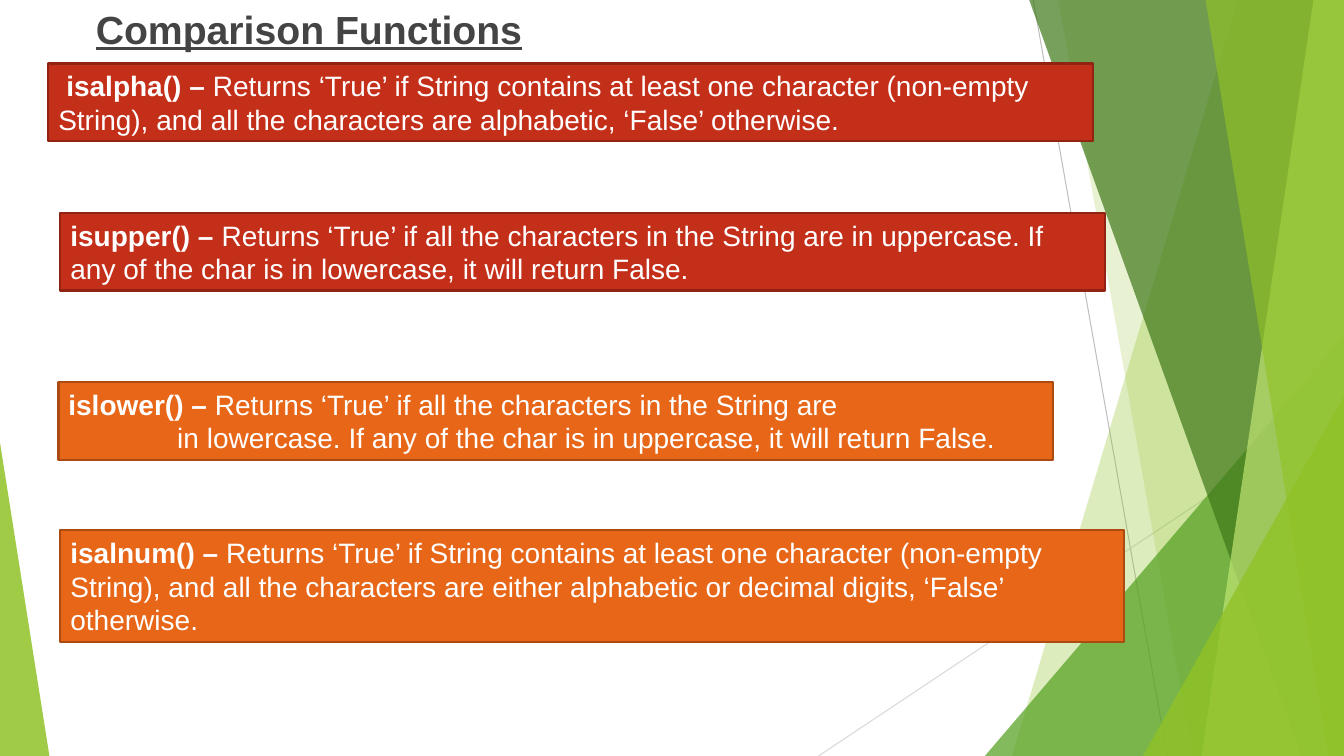
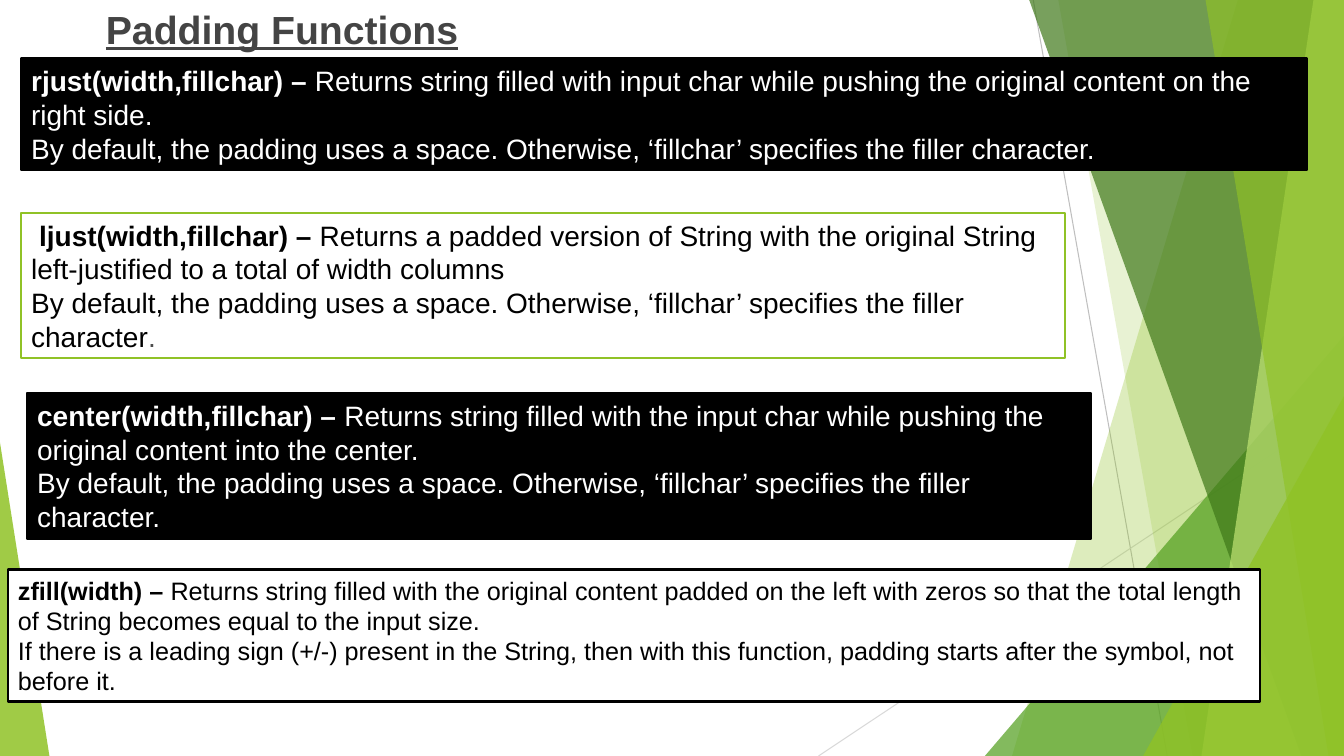
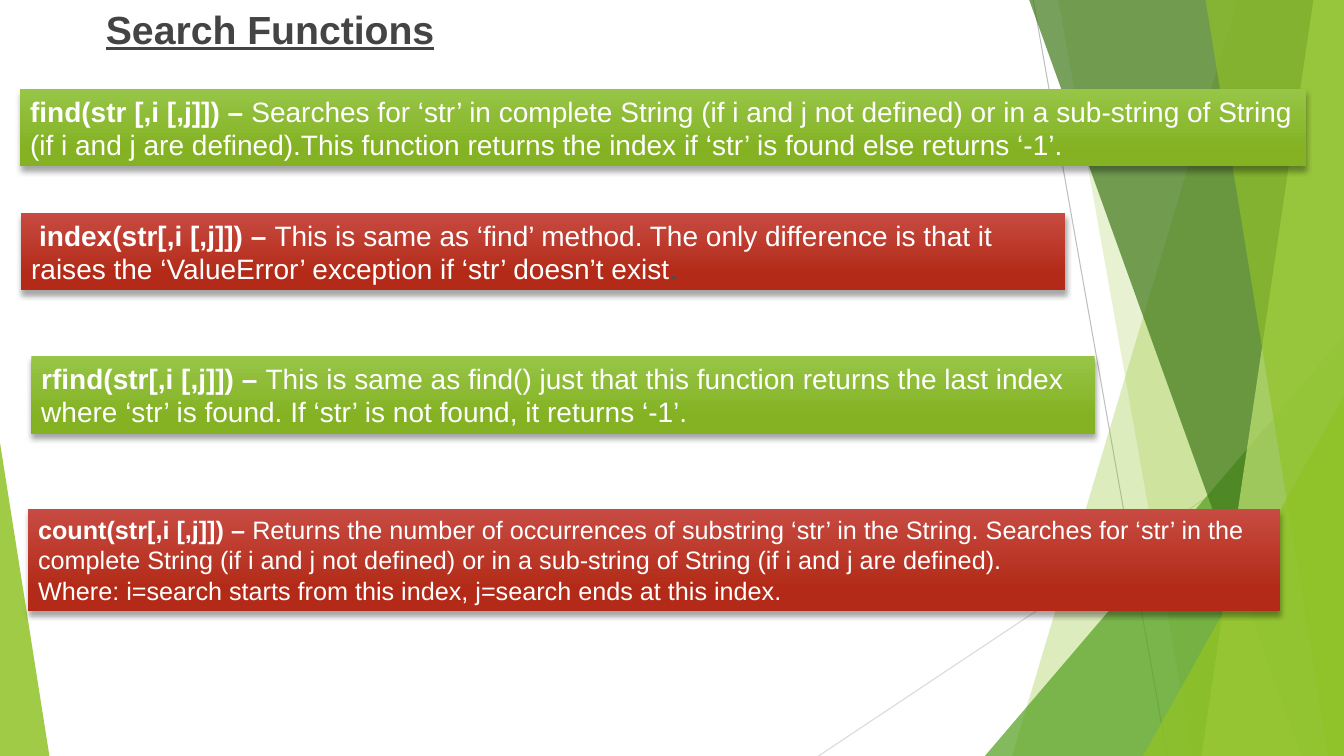
"""Build three slides on Python string functions: comparison, padding and search."""
import dataclasses

import lxml.etree
import pptx
import pptx.dml.color
import pptx.enum.shapes
import pptx.enum.text
import pptx.oxml.ns
import pptx.util


@dataclasses.dataclass(frozen=True)
class Theme:
    font: str = "Arial"
    title_size: int = 28
    text_size: int = 20
    small_size: int = 18
    line_height: float = 1.21
    title: str = "444444"
    muted: str = "4D4D4D"
    white: str = "FFFFFF"
    black: str = "000000"
    lime: str = "90C226"
    pale_lime: str = "C0E474"
    green: str = "54A021"
    deep_green: str = "3F7819"
    rule_dark: str = "BFBFBF"
    rule_light: str = "D9D9D9"


theme = Theme()


@dataclasses.dataclass(frozen=True)
class Finish:
    fills: tuple
    border: str = ""
    ink: str = theme.white


red = Finish(("C42F1A",), "912313")
orange = Finish(("E76618",), "AB4B12")
black = Finish((theme.black,), theme.black)
lime_outline = Finish((theme.white,), theme.lime, theme.black)
black_outline = Finish((theme.white,), theme.black, theme.black)
green_glow = Finish(("97C547", "84B223"))
red_glow = Finish(("C74B42", "B32B18"))


@dataclasses.dataclass(frozen=True)
class Card:
    finish: Finish
    left: float
    top: float
    width: float
    lines: int
    call: str
    paragraphs: tuple
    size: int = theme.text_size
    indents: tuple = (0, 0)
    muted_stop: bool = False


nudge = (0.08, 0)
padding_default = "By default, the padding uses a space. Otherwise, ‘fillchar’ specifies the filler character."

topics = [
    ("Comparison Functions", 6.38, [
        Card(red, 3.6, 8.4, 77.7, 2, "isalpha()", (
            "Returns ‘True’ if String contains at least one character (non-empty String), "
            "and all the characters are alphabetic, ‘False’ otherwise.",), indents=nudge),
        Card(red, 4.5, 28.13, 77.7, 2, "isupper()", (
            "Returns ‘True’ if all the characters in the String are in uppercase. "
            "If any of the char is in lowercase, it will return False.",)),
        Card(orange, 4.35, 50.53, 74.03, 2, "islower()", (
            "Returns ‘True’ if all the characters in the String are",
            "in lowercase. If any of the char is in uppercase, it will return False."),
            indents=(0, 1.08)),
        Card(orange, 4.5, 70.13, 79.13, 3, "isalnum()", (
            "Returns ‘True’ if String contains at least one character (non-empty String), "
            "and all the characters are either alphabetic or decimal digits, ‘False’ otherwise.",)),
    ]),
    ("Padding Functions", 7.13, [
        Card(black, 1.58, 7.73, 95.7, 3, "rjust(width,fillchar)", (
            "Returns string filled with input char while pushing the original content on the right side.",
            padding_default)),
        Card(lime_outline, 1.58, 28.13, 77.7, 4, "ljust(width,fillchar)", (
            "Returns a padded version of String with the original String left-justified "
            "to a total of width columns",
            padding_default), indents=nudge, muted_stop=True),
        Card(black, 2.03, 52, 79.13, 4, "center(width,fillchar)", (
            "Returns string filled with the input char while pushing the original content into the center.",
            padding_default)),
        Card(black_outline, 0.6, 75.33, 93.15, 4, "zfill(width)", (
            "Returns string filled with the original content padded on the left with zeros "
            "so that the total length of String becomes equal to the input size.",
            "If there is a leading sign (+/-) present in the String, then with this function, "
            "padding starts after the symbol, not before it."), theme.small_size),
    ]),
    ("Search Functions", 7.13, [
        Card(green_glow, 1.5, 11.73, 95.7, 2, "find(str [,i [,j]])", (
            "Searches for ‘str’ in complete String (if i and j not defined) or in a sub-string of String "
            "(if i and j are defined).This function returns the index if ‘str’ is found else returns ‘-1’.",)),
        Card(red_glow, 1.58, 28.13, 77.7, 2, "index(str[,i [,j]])", (
            "This is same as ‘find’ method. The only difference is that it raises "
            "the ‘ValueError’ exception if ‘str’ doesn’t exist.",), indents=nudge, muted_stop=True),
        Card(green_glow, 2.33, 47.07, 79.13, 2, "rfind(str[,i [,j]])", (
            "This is same as find() just that this function returns the last index where ‘str’ is found. "
            "If ‘str’ is not found, it returns ‘-1’.",)),
        Card(red_glow, 2.1, 67.33, 93.15, 3, "count(str[,i [,j]])", (
            "Returns the number of occurrences of substring ‘str’ in the String. "
            "Searches for ‘str’ in the complete String (if i and j not defined) "
            "or in a sub-string of String (if i and j are defined).",
            "Where: i=search starts from this index, j=search ends at this index."), theme.small_size),
    ]),
]

rules = [
    (76.88, 0, 86.85, 100, theme.rule_dark),
    (100, 53.73, 60.9, 100, theme.rule_light),
]
facets = [
    ("band", 92.1, 75.3, theme.lime, 30),
    ("band", 78.75, 88.73, theme.lime, 20),
    ("right corner", 73.28, 44.4, theme.green, 72),
    ("band", 76.58, 96.83, theme.deep_green, 70),
    ("band", 97.73, 89.4, theme.pale_lime, 70),
    ("band", 89.7, 98.85, theme.lime, 65),
    ("right corner", 85.05, 52.4, theme.lime, 80),
    ("left corner", 3.68, 58.53, theme.lime, 85),
]

rgb = pptx.dml.color.RGBColor.from_string
qn = pptx.oxml.ns.qn
triangle = pptx.enum.shapes.MSO_SHAPE.ISOSCELES_TRIANGLE
rectangle = pptx.enum.shapes.MSO_SHAPE.RECTANGLE

deck = pptx.Presentation()
deck.slide_width = pptx.util.Inches(13.333)
deck.slide_height = pptx.util.Inches(7.5)
column = deck.slide_width / 100
row = deck.slide_height / 100


def place(columns, rows):
    return int(columns * column), int(rows * row)


def style_run(run, size, colour, bold):
    run.font.name = theme.font
    run.font.size = pptx.util.Pt(size)
    run.font.bold = bold
    run.font.color.rgb = rgb(colour)


layout = deck.slide_layouts[5]
for footer in list(layout.placeholders)[1:]:
    layout.shapes.element.remove(footer.element)
slides = [deck.slides.add_slide(layout) for topic in topics]

canvas = slides[0].shapes
backdrop = []
for start_x, start_y, end_x, end_y, colour in rules:
    rule = canvas.add_connector(pptx.enum.shapes.MSO_CONNECTOR.STRAIGHT,
                                *place(start_x, start_y), *place(end_x, end_y))
    rule.line.color.rgb = rgb(colour)
    rule.line.width = pptx.util.Pt(0.75)
    lxml.etree.SubElement(rule.element.spPr, qn("a:effectLst"))
    backdrop.append(rule)

for outline, first, second, colour, opacity in facets:
    if outline == "band":
        builder = canvas.build_freeform(*place(first, 0), scale=1.0)
        builder.add_line_segments([place(100, 0), place(100, 100), place(second, 100)], close=True)
        facet = builder.convert_to_shape()
    elif outline == "right corner":
        facet = canvas.add_shape(triangle, *place(first, second), *place(100 - first, 100 - second))
        facet.adjustments[0] = 1
    else:
        facet = canvas.add_shape(triangle, *place(0, second), *place(first, 100 - second))
        facet.adjustments[0] = 0
    facet.fill.solid()
    facet.fill.fore_color.rgb = rgb(colour)
    tint = facet.element.spPr.find(qn("a:solidFill")).find(qn("a:srgbClr"))
    lxml.etree.SubElement(tint, qn("a:alpha"), val=str(opacity * 1000))
    facet.line.fill.background()
    facet.shadow.inherit = False
    backdrop.append(facet)

for depth, part in enumerate(backdrop, start=2):
    layout.shapes.element.insert(depth, part.element)

for slide, (heading, heading_left, cards) in zip(slides, topics):
    title = slide.shapes.title
    title.left, title.top = place(heading_left, 0)
    title.width, title.height = place(50, 7.6)
    title.text_frame.text = heading
    title.text_frame.auto_size = pptx.enum.text.MSO_AUTO_SIZE.NONE
    title.text_frame.vertical_anchor = pptx.enum.text.MSO_ANCHOR.TOP
    title.text_frame.paragraphs[0].alignment = pptx.enum.text.PP_ALIGN.LEFT
    style_run(title.text_frame.paragraphs[0].runs[0], theme.title_size, theme.title, True)
    title.text_frame.paragraphs[0].runs[0].font.underline = True

    for card in cards:
        finish = card.finish
        height = pptx.util.Inches(0.1) + pptx.util.Pt(card.lines * card.size * theme.line_height)
        box = slide.shapes.add_shape(rectangle, *place(card.left, card.top),
                                     int(card.width * column), height)
        box.shadow.inherit = False
        if finish.border:
            box.fill.solid()
            box.fill.fore_color.rgb = rgb(finish.fills[0])
            box.line.color.rgb = rgb(finish.border)
            box.line.width = pptx.util.Pt(1.5)
        else:
            box.fill.gradient()
            box.fill.gradient_angle = 270
            for stop, colour, position in zip(box.fill.gradient_stops, finish.fills, (0, 0.78)):
                stop.color.rgb = rgb(colour)
                stop.position = position
            box.line.fill.background()
            shadow = lxml.etree.SubElement(
                box.element.spPr.find(qn("a:effectLst")), qn("a:outerShdw"),
                blurRad=str(pptx.util.Pt(4)), dist=str(pptx.util.Pt(3)),
                dir="5400000", rotWithShape="0")
            shade = lxml.etree.SubElement(shadow, qn("a:srgbClr"), val=theme.black)
            lxml.etree.SubElement(shade, qn("a:alpha"), val="35000")

        frame = box.text_frame
        frame.word_wrap = True
        for number, (wording, indent) in enumerate(zip(card.paragraphs, card.indents)):
            paragraph = frame.add_paragraph() if number else frame.paragraphs[0]
            paragraph.alignment = pptx.enum.text.PP_ALIGN.LEFT
            if indent:
                paragraph._p.get_or_add_pPr().set("indent", str(pptx.util.Inches(indent)))
            pieces = [(wording, finish.ink, False)]
            if number == 0:
                pieces.insert(0, (f"{card.call} – ", finish.ink, True))
            if card.muted_stop and number == len(card.paragraphs) - 1:
                pieces[-1:] = [(wording[:-1], finish.ink, False), (wording[-1], theme.muted, False)]
            for words, colour, bold in pieces:
                run = paragraph.add_run()
                run.text = words
                style_run(run, card.size, colour, bold)

deck.save("out.pptx")
